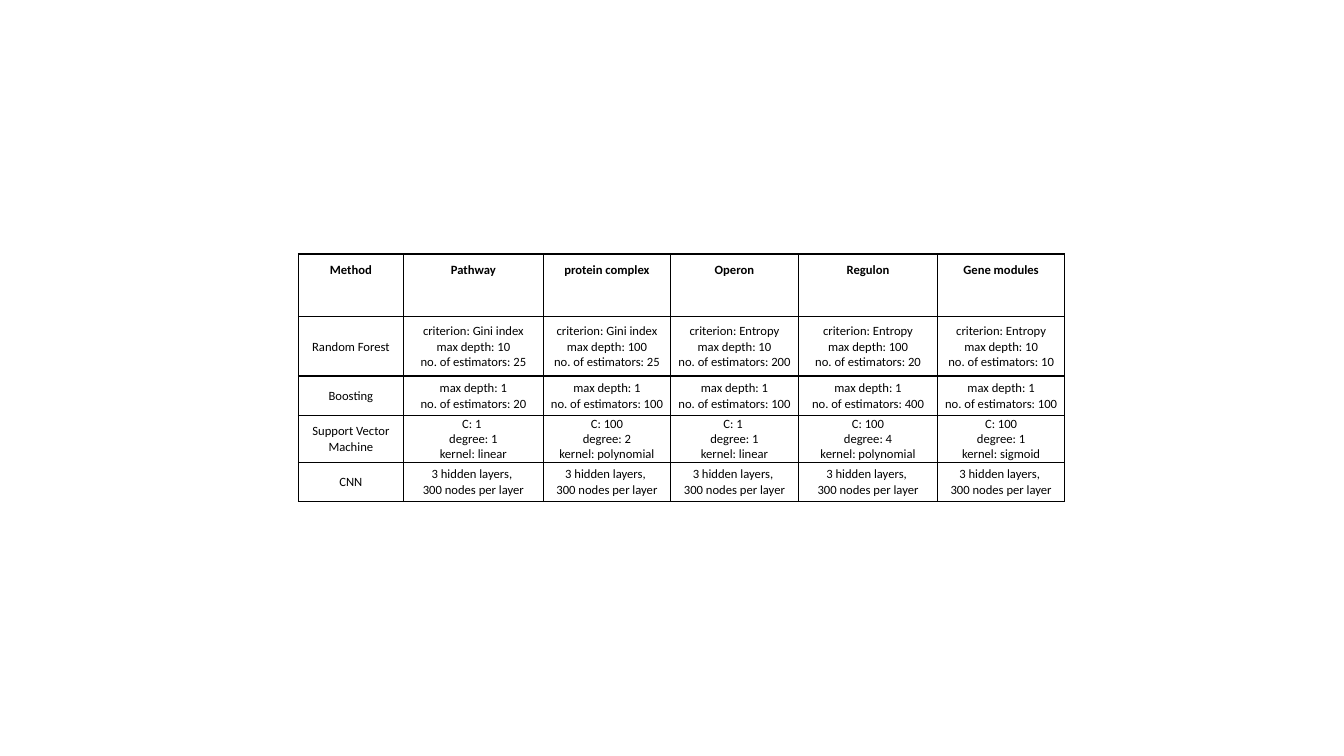
from pptx import Presentation
from pptx.dml.color import RGBColor
from pptx.enum import text
from pptx.oxml import parse_xml
from pptx.oxml.ns import nsdecls
from pptx.util import Inches, Pt

BLACK = "000000"
COLUMN_WIDTHS = [1.04, 1.39, 1.26, 1.27, 1.38, 1.26]
ROW_HEIGHTS = [0.62, 0.59, 0.39, 0.39, 0.39]


def forest(criterion, depth, estimators):
    return f"criterion: {criterion}\nmax depth: {depth}\nno. of estimators: {estimators}"


def add_borders(cell):
    for side in ("lnL", "lnR", "lnT", "lnB"):
        cell._tc.get_or_add_tcPr().append(parse_xml(
            f'<a:{side} {nsdecls("a")} w="{Pt(1)}"><a:solidFill>'
            f'<a:srgbClr val="{BLACK}"/></a:solidFill></a:{side}>'))


boosting = [f"max depth: 1\nno. of estimators: {n}" for n in (20, 100, 100, 400, 100)]
svm = [f"C: {c}\ndegree: {degree}\nkernel: {kernel}" for c, degree, kernel in (
    ("1 ", 1, "linear"), (100, 2, "polynomial"), ("1 ", 1, "linear"),
    (100, 4, "polynomial"), (100, 1, "sigmoid"))]
rows = [
    ["Method", "Pathway", "protein complex", "Operon", "Regulon", "Gene modules"],
    ["Random Forest", forest("Gini index", 10, 25), forest("Gini index", 100, 25),
     forest("Entropy", 10, 200), forest("Entropy", 100, 20), forest("Entropy", 10, 10)],
    ["Boosting", *boosting],
    ["Support Vector Machine", *svm],
    ["CNN"] + ["3 hidden layers, \n300 nodes per layer"] * 5,
]

prs = Presentation()
prs.slide_width, prs.slide_height = Inches(13.33), Inches(7.5)
s = prs.slides.add_slide(prs.slide_layouts[6])

table = s.shapes.add_table(
    len(rows), len(COLUMN_WIDTHS), Inches(2.96), Inches(2.52),
    Inches(sum(COLUMN_WIDTHS)), Inches(sum(ROW_HEIGHTS))).table
table.horz_banding = False
for column, width in zip(table.columns, COLUMN_WIDTHS):
    column.width = Inches(width)
for row, height in zip(table.rows, ROW_HEIGHTS):
    row.height = Inches(height)

for i, row in enumerate(rows):
    for j, content in enumerate(row):
        cell = table.cell(i, j)
        cell.text = content
        cell.vertical_anchor = text.MSO_ANCHOR.MIDDLE
        cell.margin_left = cell.margin_right = cell.margin_top = Inches(0.01)
        # The header text sits above the middle of its row
        cell.margin_bottom = Inches(0.3 if i == 0 else 0)
        add_borders(cell)
        cell.fill.background()
        for p in cell.text_frame.paragraphs:
            p.alignment = text.PP_ALIGN.CENTER
            p.font.name = "Calibri"
            p.font.size = Pt(9)
            p.font.bold = i == 0
            p.font.color.rgb = RGBColor.from_string(BLACK)

prs.save("out.pptx")
